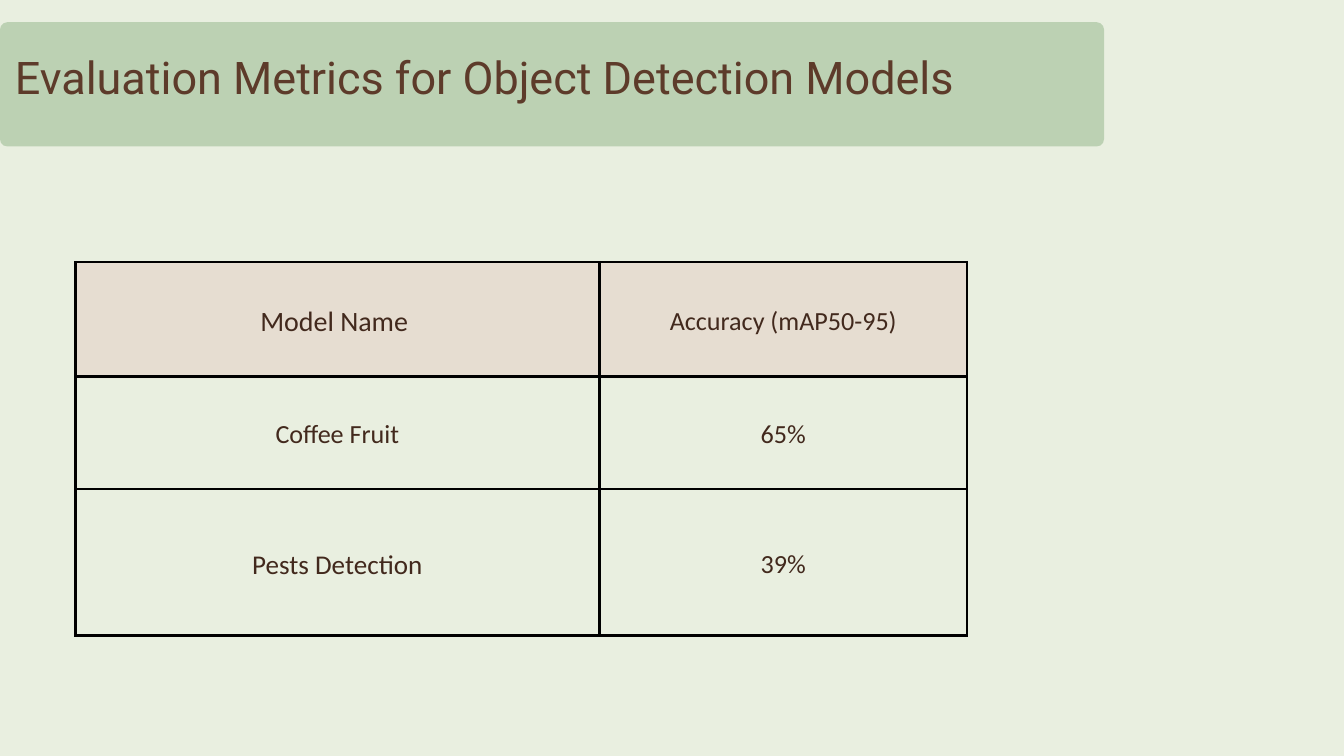
"""Build the slide of evaluation metrics for object detection models."""
import dataclasses

import lxml.etree
import pptx
import pptx.dml.color
import pptx.enum.shapes
import pptx.enum.text
import pptx.oxml.ns
import pptx.util

Inches = pptx.util.Inches
Pt = pptx.util.Pt
Align = pptx.enum.text.PP_ALIGN
Anchor = pptx.enum.text.MSO_ANCHOR
Kind = pptx.enum.shapes.MSO_SHAPE

COLORS = {
    "page": "E9EFE0",
    "banner": "BCD1B3",
    "header": "E6DDD1",
    "title": "5D3B2A",
    "text": "42291D",
    "border": "000000",
}


@dataclasses.dataclass
class Box:
    left: float
    top: float
    width: float
    height: float

    def place(self) -> tuple:
        return tuple(Inches(n) for n in (self.left, self.top, self.width, self.height))


@dataclasses.dataclass
class Entry:
    text: str
    size: float = 28


COLS = (7.8, 5.47)
ROWS = (1.7, 1.68, 2.18)
GRID = Box(1.12, 3.9, sum(COLS), sum(ROWS))
ENTRIES = (
    (Entry("Model Name ", 30), Entry("Accuracy (mAP50-95)")),
    (Entry("Coffee Fruit"), Entry("65%")),
    (Entry("Pests Detection", 29), Entry("39%")),
)


def rgb(name: str) -> pptx.dml.color.RGBColor:
    return pptx.dml.color.RGBColor.from_string(COLORS[name])


def write(frame, text: str, *, size: float, font: str, color: str,
          lead: float, align=Align.LEFT) -> None:
    """Put one formatted line of text in a frame."""
    frame.word_wrap = True
    line = frame.paragraphs[0]
    line.alignment = align
    line.line_spacing = Pt(lead)
    run = line.add_run()
    run.text = text
    run.font.size = Pt(size)
    run.font.name = font
    run.font.bold = False
    run.font.color.rgb = rgb(color)


def panel(slide, kind: Kind, box: Box, color: str):
    shape = slide.shapes.add_shape(kind, *box.place())
    shape.shadow.inherit = False
    shape.fill.solid()
    shape.fill.fore_color.rgb = rgb(color)
    shape.line.fill.background()
    return shape


def border(cell, width: float) -> None:
    """Draw a solid line on all four sides of a cell."""
    props = cell._tc.get_or_add_tcPr()
    qn = pptx.oxml.ns.qn
    for spot, side in enumerate(("lnL", "lnR", "lnT", "lnB")):
        line = lxml.etree.Element(qn(f"a:{side}"), w=str(Pt(width)))
        fill = lxml.etree.SubElement(line, qn("a:solidFill"))
        lxml.etree.SubElement(fill, qn("a:srgbClr"), val=COLORS["border"])
        props.insert(spot, line)


def fill_cell(cell, entry: Entry) -> None:
    cell.fill.background()
    cell.vertical_anchor = Anchor.MIDDLE
    cell.margin_left = cell.margin_right = Inches(0.21)
    cell.margin_top = cell.margin_bottom = Inches(0.21)
    write(cell.text_frame, entry.text, size=entry.size, font="Calibri",
          color="text", lead=round(entry.size * 1.4, 1), align=Align.CENTER)
    border(cell, 3)


def add_grid(slide) -> None:
    table = slide.shapes.add_table(len(ROWS), len(COLS), *GRID.place()).table
    table.first_row = False
    table.horz_banding = False
    for col, width in zip(table.columns, COLS):
        col.width = Inches(width)
    for row, height, entries in zip(table.rows, ROWS, ENTRIES):
        row.height = Inches(height)
        for cell, entry in zip(row.cells, entries):
            fill_cell(cell, entry)


def add_title(slide) -> None:
    frame = slide.shapes.add_textbox(*Box(0.22, 0.76, 16.21, 0.81).place()).text_frame
    frame.margin_left = frame.margin_right = 0
    frame.margin_top = frame.margin_bottom = 0
    write(frame, "Evaluation Metrics for Object Detection Models", size=48.2,
          font="Roboto", color="title", lead=55.9)


def main() -> None:
    deck = pptx.Presentation()
    deck.slide_width = Inches(20)
    deck.slide_height = Inches(11.25)
    slide = deck.slides.add_slide(deck.slide_layouts[6])
    slide.background.fill.solid()
    slide.background.fill.fore_color.rgb = rgb("page")

    banner = panel(slide, Kind.ROUNDED_RECTANGLE, Box(0, 0.33, 16.43, 1.85), "banner")
    banner.adjustments[0] = 0.06
    panel(slide, Kind.RECTANGLE, Box(GRID.left, GRID.top, GRID.width, 1.73), "header")
    add_grid(slide)
    add_title(slide)
    deck.save("out.pptx")


if __name__ == "__main__":
    main()
